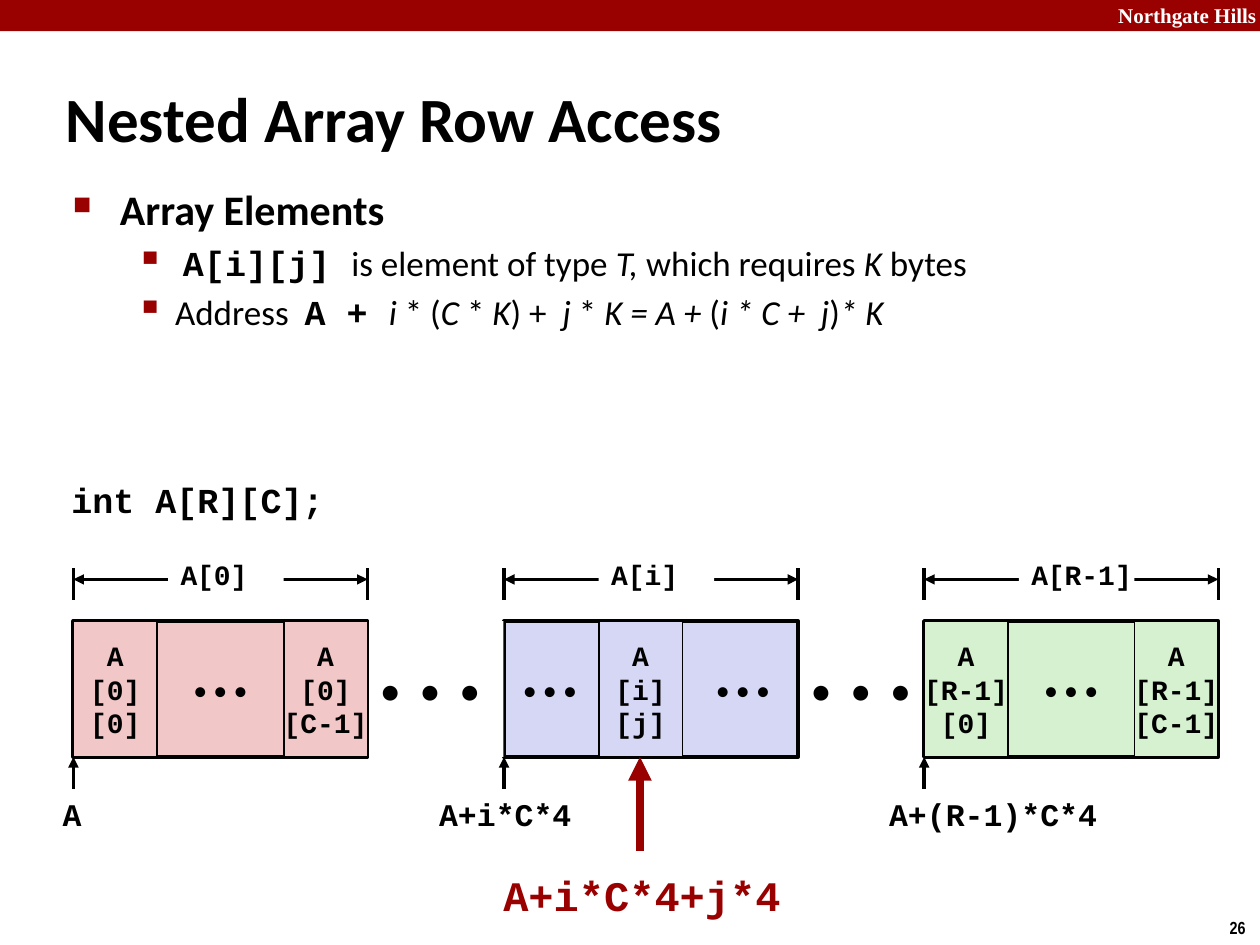
from dataclasses import dataclass
from typing import Optional

from lxml import etree
from pptx import Presentation
from pptx.dml.color import RGBColor
from pptx.enum.shapes import MSO_CONNECTOR, MSO_SHAPE
from pptx.enum.text import MSO_ANCHOR, MSO_AUTO_SIZE, PP_ALIGN
from pptx.oxml.ns import qn
from pptx.util import Cm, Pt

RECTANGLE = MSO_SHAPE.RECTANGLE
STRAIGHT = MSO_CONNECTOR.STRAIGHT
LEFT, CENTER, RIGHT = PP_ALIGN.LEFT, PP_ALIGN.CENTER, PP_ALIGN.RIGHT
TOP, MIDDLE = MSO_ANCHOR.TOP, MSO_ANCHOR.MIDDLE
NO_AUTOFIT = MSO_AUTO_SIZE.NONE


@dataclass(frozen=True)
class Theme:
    black: str = "000000"
    white: str = "FFFFFF"
    red: str = "990000"
    pink: str = "F1C7C7"
    lilac: str = "D6D6F5"
    mint: str = "D5F1CF"
    sans: str = "Calibri"
    code: str = "Courier New"
    serif: str = "Times New Roman"
    narrow: str = "Arial Narrow"
    title: int = 36
    heading: int = 24
    body: int = 20
    address: int = 18
    cell: int = 16
    brand: int = 12
    page: int = 10


THEME = Theme()


@dataclass(frozen=True)
class Run:
    text: str
    bold: bool = False
    italic: bool = False
    font: Optional[str] = None
    spacing: float = 0


@dataclass(frozen=True)
class Bullet:
    char: str
    size: int
    margin: float
    hanging: float


@dataclass(frozen=True)
class Cell:
    offset: float
    lines: tuple[str, ...]


@dataclass(frozen=True)
class Row:
    left: float
    fill: str
    label: str
    cells: tuple[Cell, ...]
    address: str
    address_left: float
    address_width: float
    followed: bool = True
    split_dots: bool = False


ROW_WIDTH, ROW_TOP, ROW_HEIGHT = 5.93, 12.52, 2.74
ROW_BOTTOM = ROW_TOP + ROW_HEIGHT
CELL_WIDTH = 1.69
LAST_CELL = ROW_WIDTH - CELL_WIDTH
DOTS = "•\u00a0•\u00a0•"

ROWS = (
    Row(10.16, THEME.lilac, "A[i]", (Cell(1.91, ("A", "[i]", "[j]")),),
        "A+i*C*4", 8.18, 4.01, split_dots=True),
    Row(18.63, THEME.mint, "A[R-1]",
        (Cell(0, ("A", "[R-1]", "[0]")), Cell(LAST_CELL, ("A", "[R-1]", "[C-1]"))),
        "A+(R-1)*C*4", 17.58, 4.88, followed=False),
    Row(1.48, THEME.pink, "A[0]",
        (Cell(0, ("A", "[0]", "[0]")), Cell(LAST_CELL, ("A", "[0]", "[C-1]"))),
        "A", 0.91, 1.09),
)

ELEMENT_RUNS = (
    Run(" "), Run("A[i][j] ", bold=True, font=THEME.code), Run("is element of type "),
    Run("T, ", italic=True), Run("which requires "), Run("K", italic=True), Run(" bytes"),
)
ADDRESS_RUNS = (
    Run("Address"), Run(" ", spacing=4.5), Run("A + ", bold=True, font=THEME.code),
    Run("i ", italic=True), Run("* ("), Run("C ", italic=True), Run("* "),
    Run("K", italic=True), Run(") +"), Run(" ", spacing=4.5), Run("j", italic=True),
    Run(" * "), Run("K = A + ", italic=True), Run("("), Run("i * C +", italic=True),
    Run(" ", italic=True, spacing=4.5), Run("j", italic=True), Run(")"),
    Run("* K", italic=True),
)


def write(paragraph, content, *, size: float, font: str = THEME.code, color: str = THEME.black,
          bold: bool = False, align=LEFT, spacing: float = 0, before: float = 0,
          bullet: Optional[Bullet] = None, tab: Optional[float] = None) -> None:
    paragraph.alignment = align
    paragraph.space_before = Pt(before)
    properties = paragraph._p.get_or_add_pPr()
    if bullet:
        properties.set("marL", str(Cm(bullet.margin)))
        properties.set("indent", str(-Cm(bullet.hanging)))
        tint = etree.SubElement(properties, qn("a:buClr"))
        etree.SubElement(tint, qn("a:srgbClr"), val=THEME.red)
        etree.SubElement(properties, qn("a:buSzPct"), val=str(bullet.size * 1000))
        etree.SubElement(properties, qn("a:buChar"), char=bullet.char)
    if tab is not None:
        stops = etree.SubElement(properties, qn("a:tabLst"))
        etree.SubElement(stops, qn("a:tab"), pos=str(Cm(tab)), algn="l")
    runs = (Run(content, bold=bold, spacing=spacing),) if isinstance(content, str) else content
    for part in runs:
        run = paragraph.add_run()
        run.text = part.text
        run.font.name = part.font or font
        run.font.size = Pt(size)
        run.font.bold, run.font.italic = part.bold, part.italic
        run.font.color.rgb = RGBColor.from_string(color)
        if part.spacing:
            run._r.get_or_add_rPr().set("spc", str(round(part.spacing * 100)))


def add_label(slide, left: float, top: float, width: float, height: float, content, *,
              wrap: bool = True, **style) -> None:
    frame = slide.shapes.add_textbox(Cm(left), Cm(top), Cm(width), Cm(height)).text_frame
    frame.word_wrap = wrap
    write(frame.paragraphs[0], content, **style)


def add_box(slide, left: float, top: float, width: float, height: float, fill: str, *,
            outline: float = 0, lines: tuple[str, ...] = (), wrap: bool = False, **style):
    box = slide.shapes.add_shape(RECTANGLE, Cm(left), Cm(top), Cm(width), Cm(height))
    box.shadow.inherit = False
    box.fill.solid()
    box.fill.fore_color.rgb = RGBColor.from_string(fill)
    if outline:
        box.line.color.rgb = RGBColor.from_string(THEME.black)
        box.line.width = Pt(outline)
    else:
        box.line.fill.background()
    frame = box.text_frame
    frame.word_wrap, frame.vertical_anchor = wrap, MIDDLE
    for index, line in enumerate(lines):
        paragraph = frame.add_paragraph() if index else frame.paragraphs[0]
        write(paragraph, line, **style)
    return box


def add_line(slide, x1: float, y1: float, x2: float, y2: float, *, color: str = THEME.black,
             width: float = 2, ends: tuple[str, ...] = ()) -> None:
    line = slide.shapes.add_connector(STRAIGHT, Cm(x1), Cm(y1), Cm(x2), Cm(y2))
    line.line.color.rgb = RGBColor.from_string(color)
    line.line.width = Pt(width)
    for end in ends:
        etree.SubElement(line.line._get_or_add_ln(), qn(f"a:{end}"), type="triangle")
    etree.SubElement(line._element.spPr, qn("a:effectLst"))


def add_row(slide, row: Row) -> None:
    right = row.left + ROW_WIDTH
    if row.followed:
        add_box(slide, right, ROW_TOP, 2.74, ROW_HEIGHT, THEME.white, lines=(DOTS,),
                size=THEME.heading, font=THEME.sans, spacing=2.7)
    dots = f"{DOTS}\t{DOTS}" if row.split_dots else DOTS
    frame = add_box(slide, row.left, ROW_TOP, ROW_WIDTH, ROW_HEIGHT, row.fill, outline=2.25,
                    lines=(dots,), wrap=True, size=THEME.cell, font=THEME.sans,
                    align=LEFT if row.split_dots else CENTER,
                    tab=3.89 if row.split_dots else None)
    if row.split_dots:
        frame.text_frame.margin_left = Cm(0.38)
    for cell in row.cells:
        add_box(slide, row.left + cell.offset, ROW_TOP, CELL_WIDTH, ROW_HEIGHT, row.fill,
                outline=1, lines=cell.lines, size=THEME.cell, bold=True, align=CENTER)
    for edge in (row.left, right):
        add_line(slide, edge, 11.46, edge, 12.09)
    add_line(slide, row.left, 11.68, right, 11.68, ends=("headEnd", "tailEnd"))
    add_box(slide, row.left + 1.91, 11.05, 2.33, 1.07, THEME.white, lines=(row.label,),
            size=THEME.cell, bold=True)
    add_line(slide, row.left, 15.9, row.left, ROW_BOTTOM, ends=("tailEnd",))
    add_label(slide, row.address_left, 15.9, row.address_width, 1.02, row.address,
              size=THEME.address, bold=True, align=CENTER)


def add_heading(slide) -> None:
    title = slide.shapes.title
    title.left, title.top, title.width, title.height = Cm(1.07), Cm(1.57), Cm(19.25), Cm(1.6)
    title.text_frame.vertical_anchor = MIDDLE
    title.text_frame.auto_size = NO_AUTOFIT
    write(title.text_frame.paragraphs[0], "Nested Array Row Access", size=THEME.title,
          font=THEME.sans, bold=True)


def add_explanation(slide) -> None:
    body = slide.shapes.add_textbox(Cm(1.22), Cm(3.58), Cm(21.64), Cm(4.04)).text_frame
    body.word_wrap, body.vertical_anchor = True, TOP
    write(body.paragraphs[0], "Array Elements", size=THEME.heading, font=THEME.sans, bold=True,
          before=4.8, bullet=Bullet("■", 60, 0.95, 0.95))
    for runs in (ELEMENT_RUNS, ADDRESS_RUNS):
        write(body.add_paragraph(), runs, size=THEME.body, font=THEME.sans, before=4,
              bullet=Bullet("▪", 110, 2.06, 0.79))


def main() -> None:
    deck = Presentation()
    deck.slide_width, deck.slide_height = Cm(25.4), Cm(19.05)
    slide = deck.slides.add_slide(deck.slide_layouts[5])
    add_box(slide, 0, 0, 25.4, 0.63, THEME.red)
    add_label(slide, 21.95, -0.08, 3.63, 0.76, "Northgate Hills", wrap=False, size=THEME.brand,
              font=THEME.serif, color=THEME.white, bold=True, align=RIGHT)
    add_label(slide, 24.54, 18.36, 0.86, 0.69, "26", wrap=False, size=THEME.page,
              font=THEME.narrow, bold=True)
    add_heading(slide)
    add_explanation(slide)
    add_label(slide, 1.19, 9.53, 5.59, 1.09, "int A[R][C];", wrap=False, size=THEME.body,
              bold=True, align=RIGHT)
    for row in ROWS:
        add_row(slide, row)
    add_line(slide, 12.9, 17.15, 12.9, ROW_BOTTOM, color=THEME.red, width=4.5, ends=("tailEnd",))
    add_label(slide, 9.37, 17.4, 7.14, 1.27, "A+i*C*4+j*4", size=THEME.heading,
              color=THEME.red, bold=True, align=CENTER)
    deck.save("out.pptx")


main()
